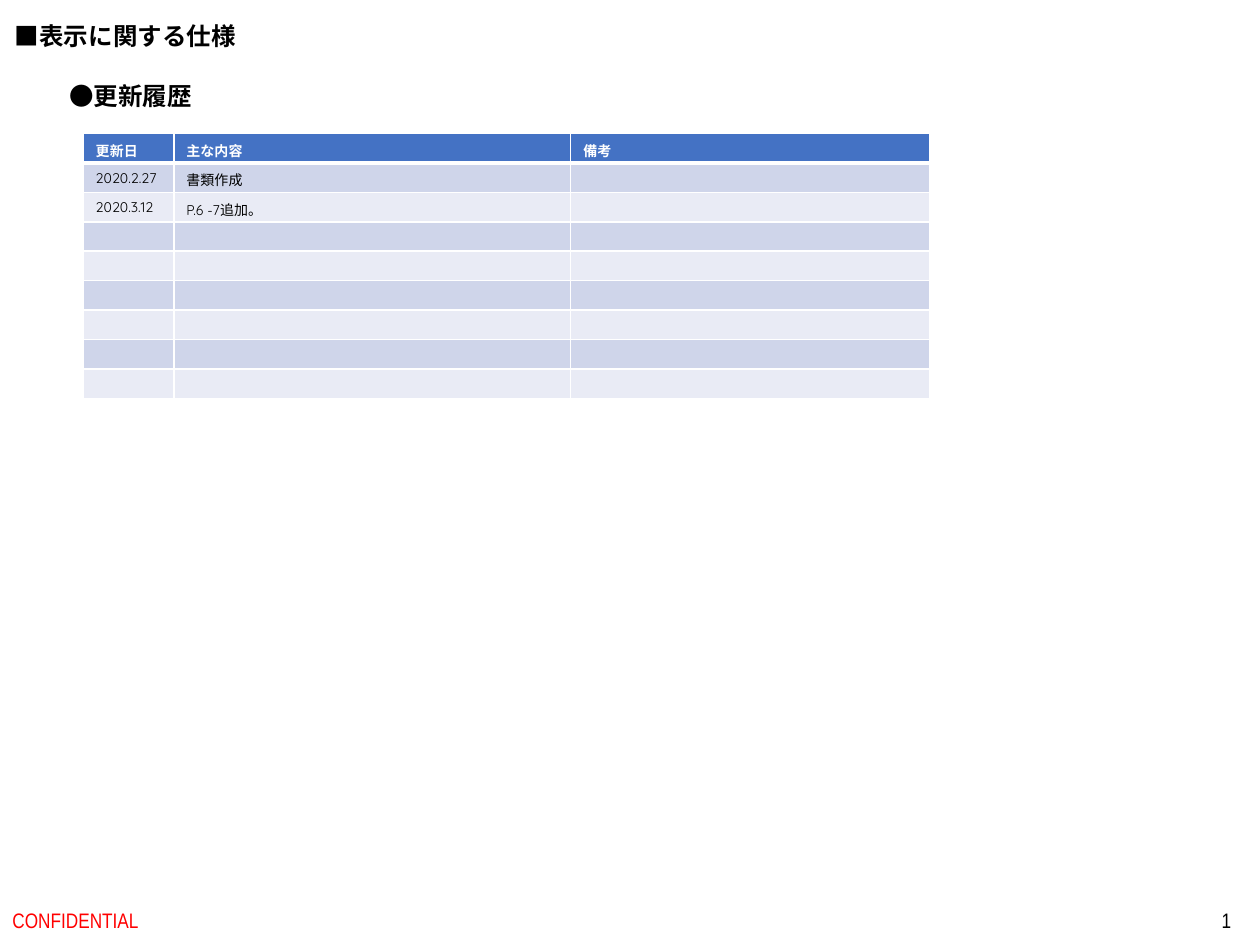
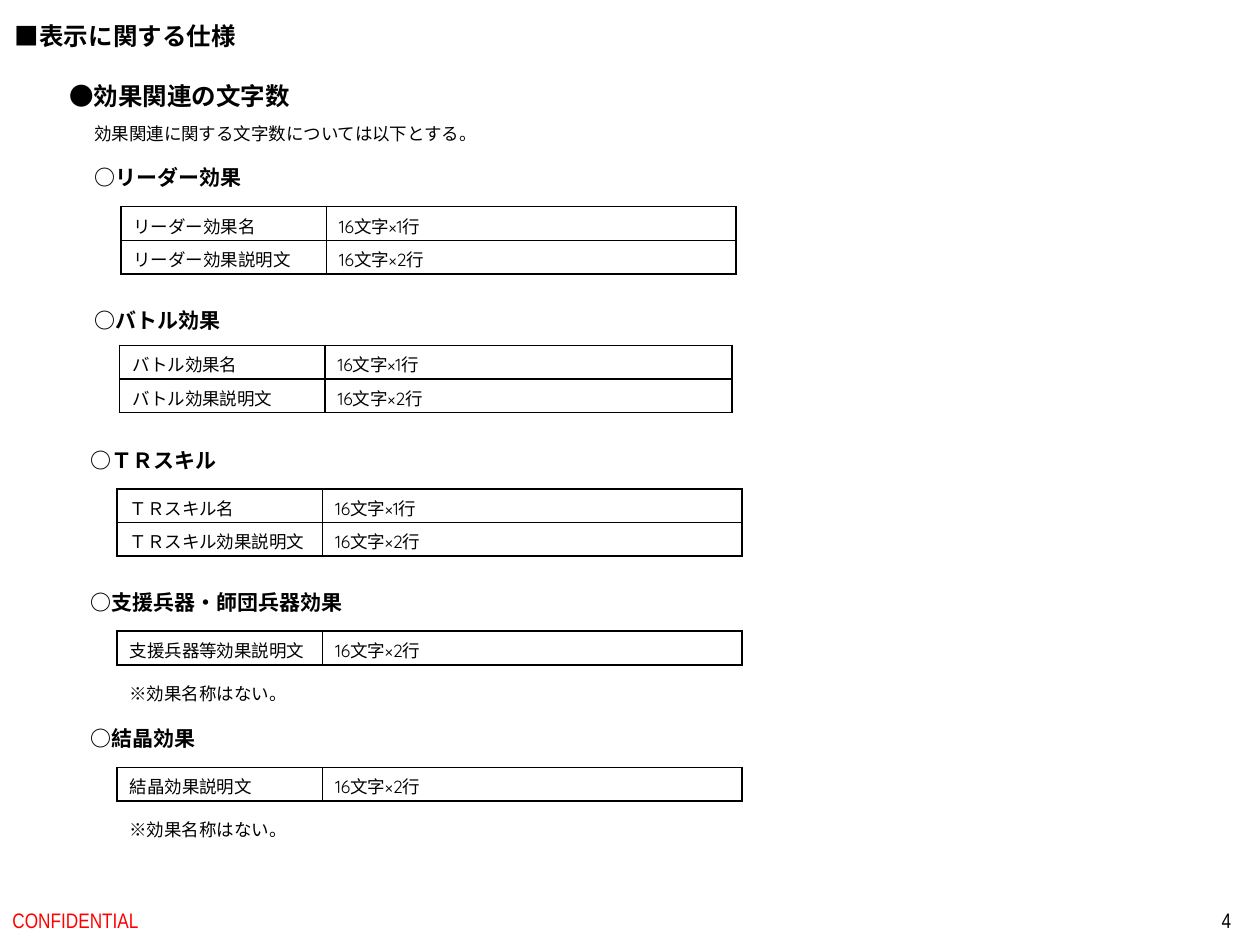
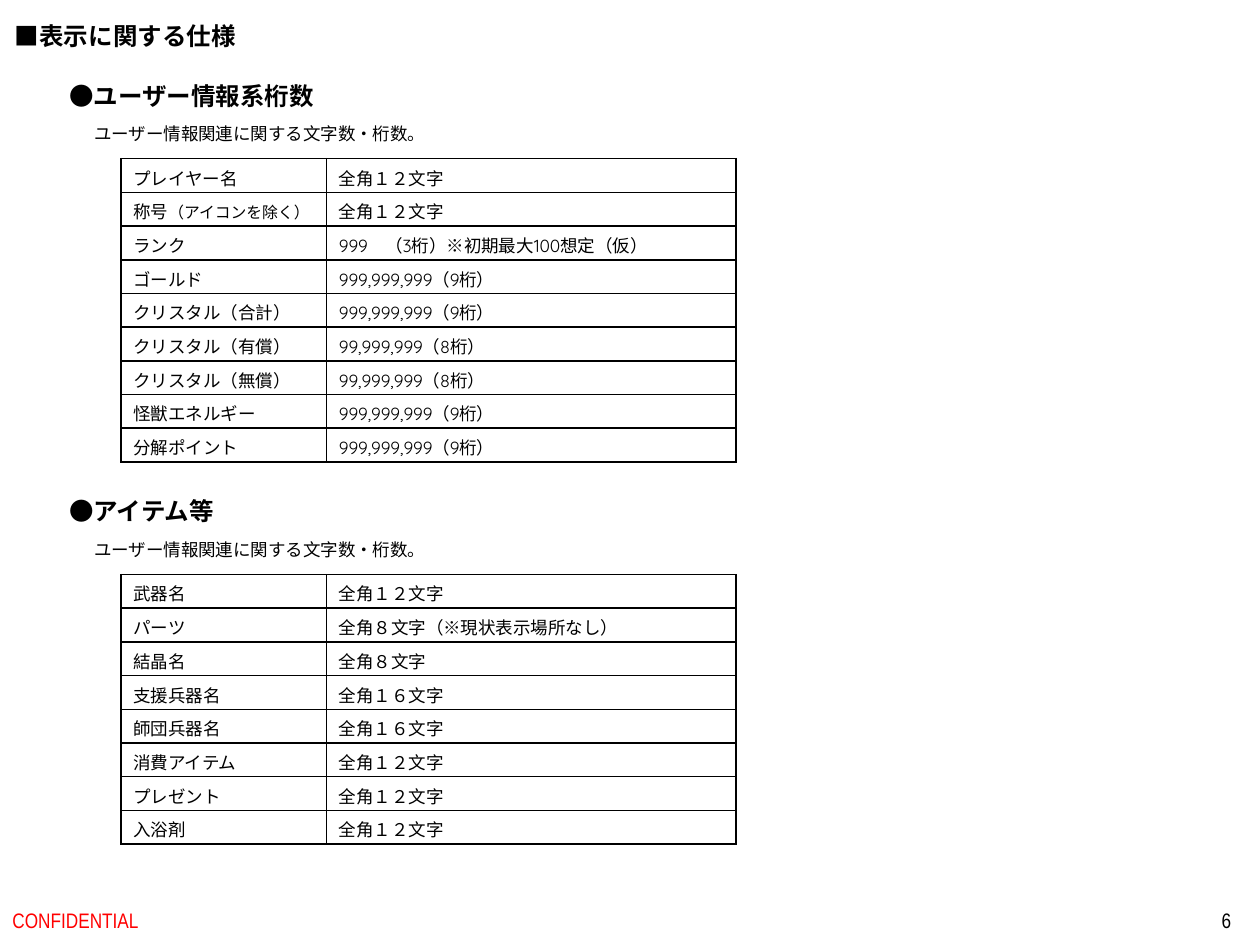
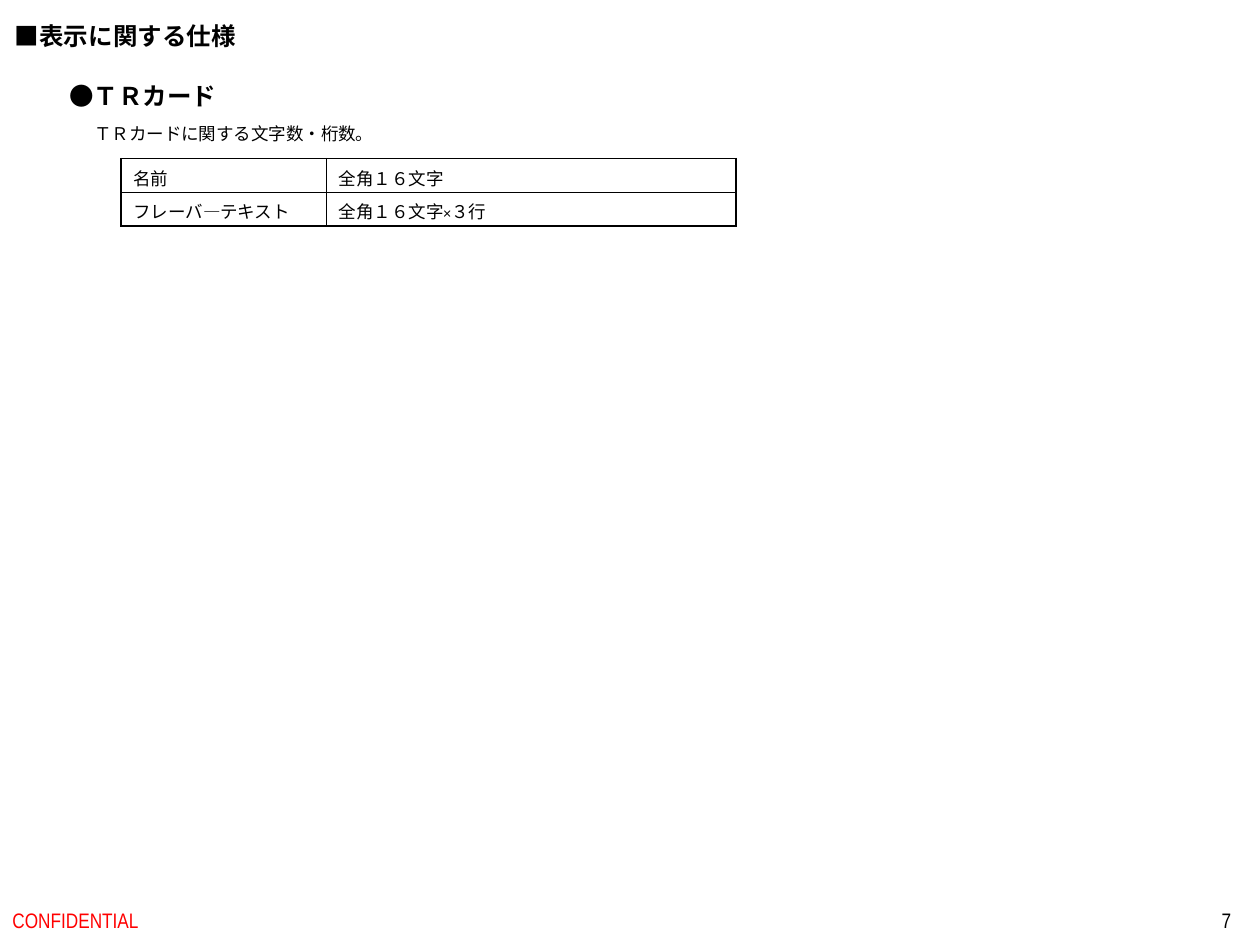
from lxml import etree
from pptx import Presentation
from pptx.dml.color import RGBColor
from pptx.enum.text import MSO_ANCHOR, MSO_AUTO_SIZE, PP_ALIGN
from pptx.oxml.ns import qn
from pptx.util import Inches, Pt

MIDDLE = MSO_ANCHOR.MIDDLE
FIT_SHAPE, FIT_NONE = MSO_AUTO_SIZE.SHAPE_TO_FIT_TEXT, MSO_AUTO_SIZE.NONE
LEFT, RIGHT = PP_ALIGN.LEFT, PP_ALIGN.RIGHT

BLACK = RGBColor(0x00, 0x00, 0x00)
WHITE = RGBColor(0xFF, 0xFF, 0xFF)
RED = RGBColor(0xFF, 0x00, 0x00)
HEADER_BLUE = RGBColor(0x44, 0x72, 0xC4)
BANDS = [RGBColor(0xCF, 0xD5, 0xEA), RGBColor(0xE9, 0xEB, 0xF5)]

# Text formats: font attributes plus colour
TITLE = {"name": "Arial", "size": Pt(14), "bold": True, "color": BLACK}
HEADING = {**TITLE, "name": "Quicksand"}
SUBHEADING = {**HEADING, "size": Pt(12)}
BODY = {**HEADING, "size": Pt(10), "bold": False}
SMALL = {**BODY, "size": Pt(9)}
FOOTER = {**BODY, "name": "Arial Narrow", "size": Pt(12)}
CONFIDENTIAL = {**FOOTER, "color": RED}
HISTORY = {**BODY, "size": Pt(8)}
HISTORY_HEADER = {**HISTORY, "bold": True, "color": WHITE}

LINE_HEIGHTS = {TITLE["size"]: 0.34, SUBHEADING["size"]: 0.3, BODY["size"]: 0.27}
NAME_WIDTH = 1.63


def add_text(slide, left, top, width, text, style, height=None, align=LEFT):
    """Add one line; without a height the box fits its text."""
    box = slide.shapes.add_textbox(Inches(left), Inches(top), Inches(width),
                                   Inches(height or LINE_HEIGHTS[style["size"]]))
    frame = box.text_frame
    frame.word_wrap = height is not None
    frame.auto_size = FIT_NONE if height else FIT_SHAPE
    if height:
        frame.vertical_anchor = MIDDLE
    paragraph = frame.paragraphs[0]
    paragraph.alignment = align
    run = paragraph.add_run()
    run.text = text
    for key, value in style.items():
        if key == "color":
            run.font.color.rgb = value
        else:
            setattr(run.font, key, value)


def add_grid(slide, left, top, widths, rows, height, history=False):
    """Add a ruled table, or the banded table of the update history."""
    frame = slide.shapes.add_table(len(rows), len(widths), Inches(left), Inches(top),
                                   Inches(sum(widths)), Inches(height))
    table = frame.table
    table.first_row, table.horz_banding = history, history
    for column, width in zip(table.columns, widths):
        column.width = Inches(width)
    for row_index, row in enumerate(rows):
        header = history and row_index == 0
        style = HISTORY_HEADER if header else HISTORY if history else BODY
        for column_index, content in enumerate(row):
            cell = table.cell(row_index, column_index)
            # Borders come before the fill
            properties = cell._tc.get_or_add_tcPr()
            for side in ("lnL", "lnR", "lnT", "lnB"):
                thick = history and (side, row_index) in (("lnB", 0), ("lnT", 1))
                line = etree.SubElement(properties, qn(f"a:{side}"), w=str(Pt(3 if thick else 1)))
                fill = etree.SubElement(line, qn("a:solidFill"))
                etree.SubElement(fill, qn("a:srgbClr"), val=str(WHITE if history else BLACK))
            if history:
                cell.fill.solid()
                cell.fill.fore_color.rgb = HEADER_BLUE if header else BANDS[(row_index - 1) % 2]
            else:
                cell.fill.background()
            # A pair holds body text followed by smaller text
            paragraph = cell.text_frame.paragraphs[0]
            parts = content if isinstance(content, tuple) else (content,)
            for text, part_style in zip(parts, (style, SMALL)):
                if not text:
                    etree.SubElement(paragraph._p, qn("a:endParaRPr"), sz=str(int(style["size"].pt * 100)))
                    continue
                run = paragraph.add_run()
                run.text = text
                for key, value in part_style.items():
                    if key == "color":
                        run.font.color.rgb = value
                    else:
                        setattr(run.font, key, value)


presentation = Presentation()
presentation.slide_width, presentation.slide_height = Inches(10), Inches(7.5)

# Shared title and footer
slides = []
for number in (1, 4, 6, 7):
    slide = presentation.slides.add_slide(presentation.slide_layouts[6])
    add_text(slide, 0.02, 0.12, 1.97, "■表示に関する仕様", TITLE)
    add_text(slide, 0, 7.1, 3.38, "CONFIDENTIAL", CONFIDENTIAL, height=0.4)
    add_text(slide, 7.62, 7.1, 2.25, str(number), FOOTER, height=0.4, align=RIGHT)
    slides.append(slide)
history_slide, effect_slide, user_slide, card_slide = slides

# Update history
add_text(history_slide, 0.45, 0.59, 1.18, "●更新履歴", HEADING)
history_rows = [
    ("更新日", "主な内容", "備考"),
    ("2020.2.27", "書類作成", ""),
    ("2020.3.12", "P.6 -7追加。", ""),
] + [("", "", "")] * 6
add_grid(history_slide, 0.66, 1.06, [0.72, 3.15, 2.85], history_rows, 2.1, history=True)

# Effect text lengths: heading box, table box, rows
add_text(effect_slide, 0.45, 0.59, 1.97, "●効果関連の文字数", HEADING)
add_text(effect_slide, 0.65, 0.93, 3.29, "効果関連に関する文字数については以下とする。", BODY)
ONE_LINE, TWO_LINES = "16文字×1行", "16文字×2行"
effects = [
    ("○リーダー効果", 0.65, 1.26, 1.38, 0.96, 1.64, 3.25,
     [("リーダー効果名", ONE_LINE), ("リーダー効果説明文", TWO_LINES)]),
    ("○バトル効果", 0.65, 2.39, 1.21, 0.95, 2.74, 3.23,
     [("バトル効果名", ONE_LINE), ("バトル効果説明文", TWO_LINES)]),
    ("○ＴＲスキル", 0.62, 3.5, 1.21, 0.93, 3.88, 3.33,
     [("ＴＲスキル名", ONE_LINE), ("ＴＲスキル効果説明文", TWO_LINES)]),
    ("○支援兵器・師団兵器効果", 0.62, 4.63, 2.22, 0.93, 5.01, 3.33,
     [("支援兵器等効果説明文", TWO_LINES)]),
    ("○結晶効果", 0.62, 5.71, 1.04, 0.93, 6.09, 3.33,
     [("結晶効果説明文", TWO_LINES)]),
]
for heading, left, top, width, table_left, table_top, value_width, rows in effects:
    add_text(effect_slide, left, top, width, heading, SUBHEADING)
    add_grid(effect_slide, table_left, table_top, [NAME_WIDTH, value_width], rows, len(rows) * 0.8 / 3)
    if len(rows) == 1:
        add_text(effect_slide, table_left, table_top + 0.36, 1.46, "※効果名称はない。", BODY)

# User data, items and cards: heading, note and table at fixed steps
user_rows = [
    ("プレイヤー名", "全角１２文字"),
    (("称号", "（アイコンを除く）"), "全角１２文字"),
    ("ランク", "999　（3桁）※初期最大100想定（仮）"),
    ("ゴールド", "999,999,999（9桁）"),
    ("クリスタル（合計）", "999,999,999（9桁）"),
    ("クリスタル（有償）", "99,999,999（8桁）"),
    ("クリスタル（無償）", "99,999,999（8桁）"),
    ("怪獣エネルギー", "999,999,999（9桁）"),
    ("分解ポイント", "999,999,999（9桁）"),
]
item_rows = [
    ("武器名", "全角１２文字"),
    ("パーツ", "全角８文字（※現状表示場所なし）"),
    ("結晶名", "全角８文字"),
    ("支援兵器名", "全角１６文字"),
    ("師団兵器名", "全角１６文字"),
    ("消費アイテム", "全角１２文字"),
    ("プレゼント", "全角１２文字"),
    ("入浴剤", "全角１２文字"),
]
card_rows = [("名前", "全角１６文字"), ("フレーバ―テキスト", "全角１６文字×３行")]
USER_NOTE = "ユーザー情報関連に関する文字数・桁数。"
sections = [
    (user_slide, 0.59, "●ユーザー情報系桁数", 2.17, USER_NOTE, 2.87, user_rows),
    (user_slide, 3.89, "●アイテム等", 1.38, USER_NOTE, 2.87, item_rows),
    (card_slide, 0.59, "●ＴＲカード", 1.38, "ＴＲカードに関する文字数・桁数。", 2.45, card_rows),
]
for slide, top, heading, heading_width, note, note_width, rows in sections:
    add_text(slide, 0.45, top, heading_width, heading, HEADING)
    add_text(slide, 0.65, top + 0.34, note_width, note, BODY)
    add_grid(slide, 0.96, top + 0.67, [NAME_WIDTH, 3.25], rows, len(rows) * 0.8 / 3)

presentation.save("out.pptx")
